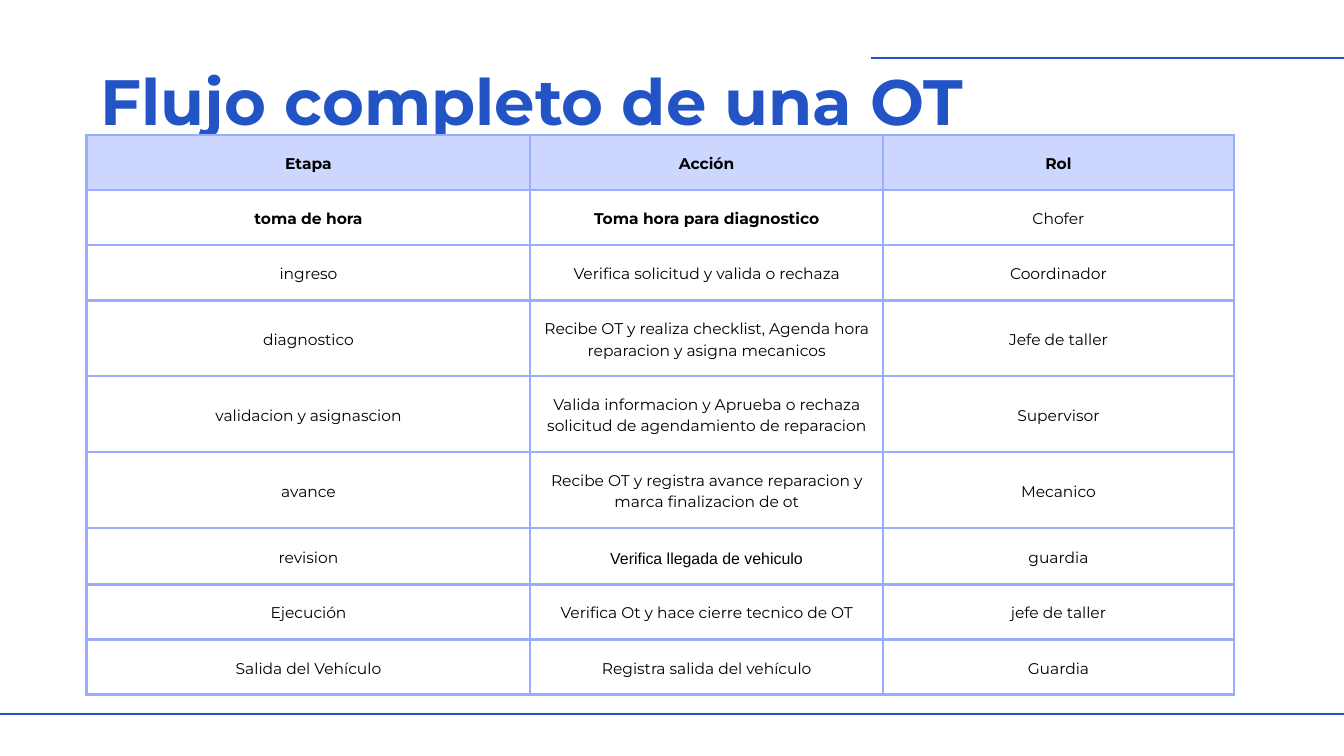
from lxml import etree
from pptx import Presentation
from pptx.dml.color import RGBColor
from pptx.enum.shapes import MSO_CONNECTOR
from pptx.enum.text import MSO_ANCHOR, PP_ALIGN
from pptx.oxml.ns import qn
from pptx.util import Inches, Pt

STRAIGHT = MSO_CONNECTOR.STRAIGHT
MIDDLE = MSO_ANCHOR.MIDDLE
CENTER = PP_ALIGN.CENTER

WIDTH, HEIGHT = 20, 11.25
BLUE, BORDER, HEADER, WHITE, BLACK = "2254C5", "99ACFF", "CDD6FF", "FFFFFF", "000000"

TITLE = {"size": Pt(68.6), "name": "Montserrat", "bold": True}
BODY = {"size": Pt(16.6), "name": "Montserrat", "bold": False}
BOLD = {**BODY, "bold": True}
ARIAL = {**BODY, "size": Pt(17), "name": "Arial"}

COL_WIDTHS = (6.6, 5.25, 5.22)
ONE_LINE, TWO_LINES, ARIAL_LINE = 0.82, 1.13, 0.84
ROW_HEIGHTS = [ONE_LINE] * 3 + [TWO_LINES] * 3 + [ARIAL_LINE] + [ONE_LINE] * 2
STAGES = [
    ("Etapa", "Acción", "Rol"),
    ("toma de hora", "Toma hora para diagnostico", "Chofer"),
    ("ingreso", "Verifica solicitud y valida o rechaza", "Coordinador"),
    ("diagnostico",
     "Recibe OT y realiza checklist, Agenda hora reparacion y asigna mecanicos",
     "Jefe de taller"),
    ("validacion y asignascion",
     "Valida informacion y Aprueba o rechaza solicitud de agendamiento de reparacion",
     "Supervisor"),
    ("avance",
     "Recibe OT y registra avance reparacion y marca finalizacion de ot",
     "Mecanico"),
    ("revision", "Verifica llegada de vehiculo", "guardia"),
    ("Ejecución", "Verifica Ot y hace cierre tecnico de OT", "jefe de taller"),
    ("Salida del Vehículo", "Registra salida del vehículo", "Guardia"),
]
ROW_FILLS = {0: HEADER, 1: WHITE}
SPECIAL_FONTS = {**{(0, col): BOLD for col in range(3)},
                 (1, 0): BOLD, (1, 1): BOLD, (6, 1): ARIAL}


def rgb(value):
    return RGBColor.from_string(value)


def write(tf, text, fmt, color, line_spacing=1.4):
    """Fill a frame with one paragraph; line_spacing is a multiple of the font size."""
    p = tf.paragraphs[0]
    p.line_spacing = Pt(round(fmt["size"].pt * line_spacing, 1))
    r = p.add_run()
    r.text = text
    for name, value in fmt.items():
        setattr(r.font, name, value)
    r.font.color.rgb = rgb(color)
    return p


def add_title(s, text):
    sp = s.shapes.add_textbox(Inches(1.5), Inches(0.72), Inches(13.21), Inches(1.29))
    tf = sp.text_frame
    tf.word_wrap = True
    for side in ("left", "right", "top", "bottom"):
        setattr(tf, f"margin_{side}", 0)
    write(tf, text, TITLE, BLUE)


def add_rule(s, start, end, height):
    """Draw a horizontal rule; all lengths are shares of the slide."""
    y = Inches(HEIGHT * height)
    sp = s.shapes.add_connector(STRAIGHT, Inches(WIDTH * start), y, Inches(WIDTH * end), y)
    sp.line.color.rgb = rgb(BLUE)
    sp.line.width = Pt(2.25)
    etree.SubElement(sp._element.spPr, qn("a:effectLst"))


def add_borders(cell):
    tc_pr = cell._tc.get_or_add_tcPr()
    for side in "LRTB":
        ln = etree.SubElement(tc_pr, qn(f"a:ln{side}"), w=str(Pt(3)))
        fill = etree.SubElement(ln, qn("a:solidFill"))
        etree.SubElement(fill, qn("a:srgbClr"), val=BORDER)


def format_cell(cell, text, fmt, fill):
    add_borders(cell)
    if fill:
        cell.fill.solid()
        cell.fill.fore_color.rgb = rgb(fill)
    else:
        cell.fill.background()
    for side in ("left", "right", "top", "bottom"):
        setattr(cell, f"margin_{side}", Inches(0.21))
    cell.vertical_anchor = MIDDLE
    write(cell.text_frame, text, fmt, BLACK).alignment = CENTER


def add_stage_table(s):
    frame = s.shapes.add_table(len(STAGES), len(COL_WIDTHS), Inches(1.29), Inches(2.01),
                               Inches(sum(COL_WIDTHS)), Inches(sum(ROW_HEIGHTS)))
    table = frame.table
    table.first_row = table.horz_banding = False
    for column, width in zip(table.columns, COL_WIDTHS):
        column.width = Inches(width)
    for row, height in zip(table.rows, ROW_HEIGHTS):
        row.height = Inches(height)
    for i, stage in enumerate(STAGES):
        for j, text in enumerate(stage):
            format_cell(table.cell(i, j), text, SPECIAL_FONTS.get((i, j), BODY),
                        ROW_FILLS.get(i))


def main():
    prs = Presentation()
    prs.slide_width, prs.slide_height = Inches(WIDTH), Inches(HEIGHT)
    s = prs.slides.add_slide(prs.slide_layouts[6])
    s.background.fill.solid()
    s.background.fill.fore_color.rgb = rgb(WHITE)
    add_title(s, "Flujo completo de una OT")
    add_rule(s, -0.06, 1.06, 0.945)
    add_rule(s, 0.648, 1.03, 0.077)
    add_stage_table(s)
    prs.save("out.pptx")


if __name__ == "__main__":
    main()
